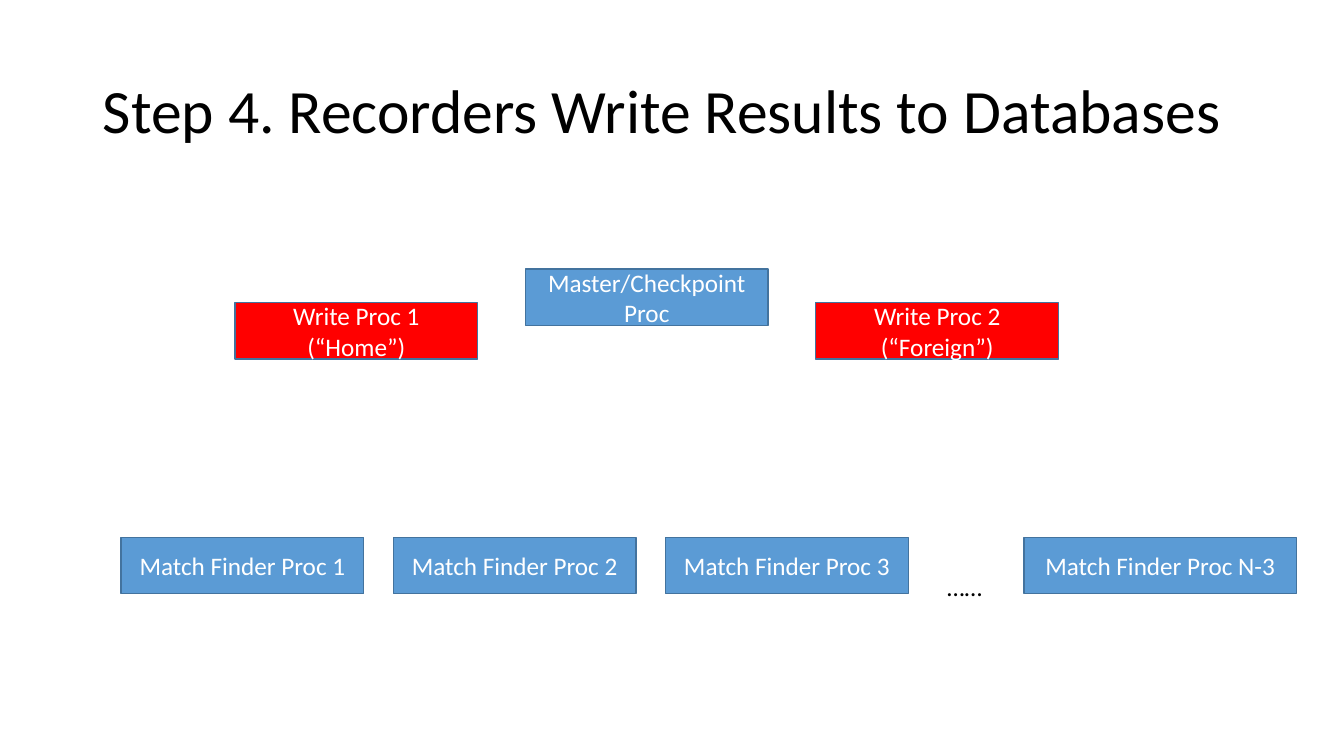
from pptx import Presentation
from pptx.dml.color import RGBColor
from pptx.enum.shapes import MSO_SHAPE
from pptx.enum.text import MSO_ANCHOR, MSO_AUTO_SIZE, PP_ALIGN
from pptx.util import Cm, Pt

BLACK = RGBColor(0x00, 0x00, 0x00)
WHITE = RGBColor(0xFF, 0xFF, 0xFF)
BLUE = RGBColor(0x5B, 0x9B, 0xD5)
RED = RGBColor(0xFF, 0x00, 0x00)
OUTLINE = RGBColor(0x43, 0x73, 0x9E)

FONT = "Calibri"
PROCESS_WIDTH, PROCESS_HEIGHT = Cm(6.12), Cm(1.42)


def format_text(text_frame, size, color, alignment):
    for paragraph in text_frame.paragraphs:
        paragraph.alignment = alignment
        for run in paragraph.runs:
            run.font.name = FONT
            run.font.size = Pt(size)
            run.font.color.rgb = color


def place_title(slide, left, top, width, height):
    title = slide.shapes.title
    title.left, title.top, title.width, title.height = left, top, width, height
    text_frame = title.text_frame
    text_frame.text = "Step 4. Recorders Write Results to Databases"
    text_frame.word_wrap = True
    text_frame.auto_size = MSO_AUTO_SIZE.NONE
    text_frame.vertical_anchor = MSO_ANCHOR.MIDDLE
    text_frame.paragraphs[0].line_spacing = 0.9
    format_text(text_frame, 44, BLACK, PP_ALIGN.LEFT)


def add_process(slide, text, left, top, fill, width=PROCESS_WIDTH):
    shape = slide.shapes.add_shape(MSO_SHAPE.RECTANGLE, left, top, width, PROCESS_HEIGHT)
    shape.shadow.inherit = False
    shape.fill.solid()
    shape.fill.fore_color.rgb = fill
    shape.line.color.rgb = OUTLINE
    shape.line.width = Pt(1)
    text_frame = shape.text_frame
    text_frame.text = text
    text_frame.word_wrap = True
    text_frame.vertical_anchor = MSO_ANCHOR.MIDDLE
    format_text(text_frame, 18, WHITE, PP_ALIGN.CENTER)


def add_coordinators(slide, left, top):
    """Place the master between the two recorders, which sit slightly lower."""
    pitch, drop = Cm(7.32), Cm(0.85)
    add_process(slide, "Master/Checkpoint Proc", left + pitch, top, BLUE)
    for column, label in ((2, "Write Proc 2\n(“Foreign”)"), (0, "Write Proc 1\n(“Home”)")):
        add_process(slide, label, left + column * pitch, top + drop, RED)


def add_match_finders(slide, left, top):
    pitch = Cm(6.86)
    for index in range(3):
        add_process(slide, f"Match Finder Proc {index + 1}", left + index * pitch, top, BLUE)
    add_process(slide, "Match Finder Proc N-3", left + Cm(22.76), top, BLUE, pitch)

    dots = slide.shapes.add_textbox(left + Cm(20.57), top + Cm(0.74), Cm(1.42), Cm(1.02))
    dots.text_frame.text = "……"
    dots.text_frame.word_wrap = False
    dots.text_frame.auto_size = MSO_AUTO_SIZE.SHAPE_TO_FIT_TEXT
    format_text(dots.text_frame, 18, BLACK, PP_ALIGN.LEFT)


def main():
    presentation = Presentation()
    presentation.slide_width, presentation.slide_height = Cm(33.87), Cm(19.05)
    slide = presentation.slides.add_slide(presentation.slide_layouts.get_by_name("Title Only"))
    place_title(slide, Cm(2.34), Cm(1.02), Cm(29.21), Cm(3.68))
    add_coordinators(slide, Cm(5.92), Cm(6.78))
    add_match_finders(slide, Cm(3.05), Cm(13.54))
    presentation.save("out.pptx")


if __name__ == "__main__":
    main()
